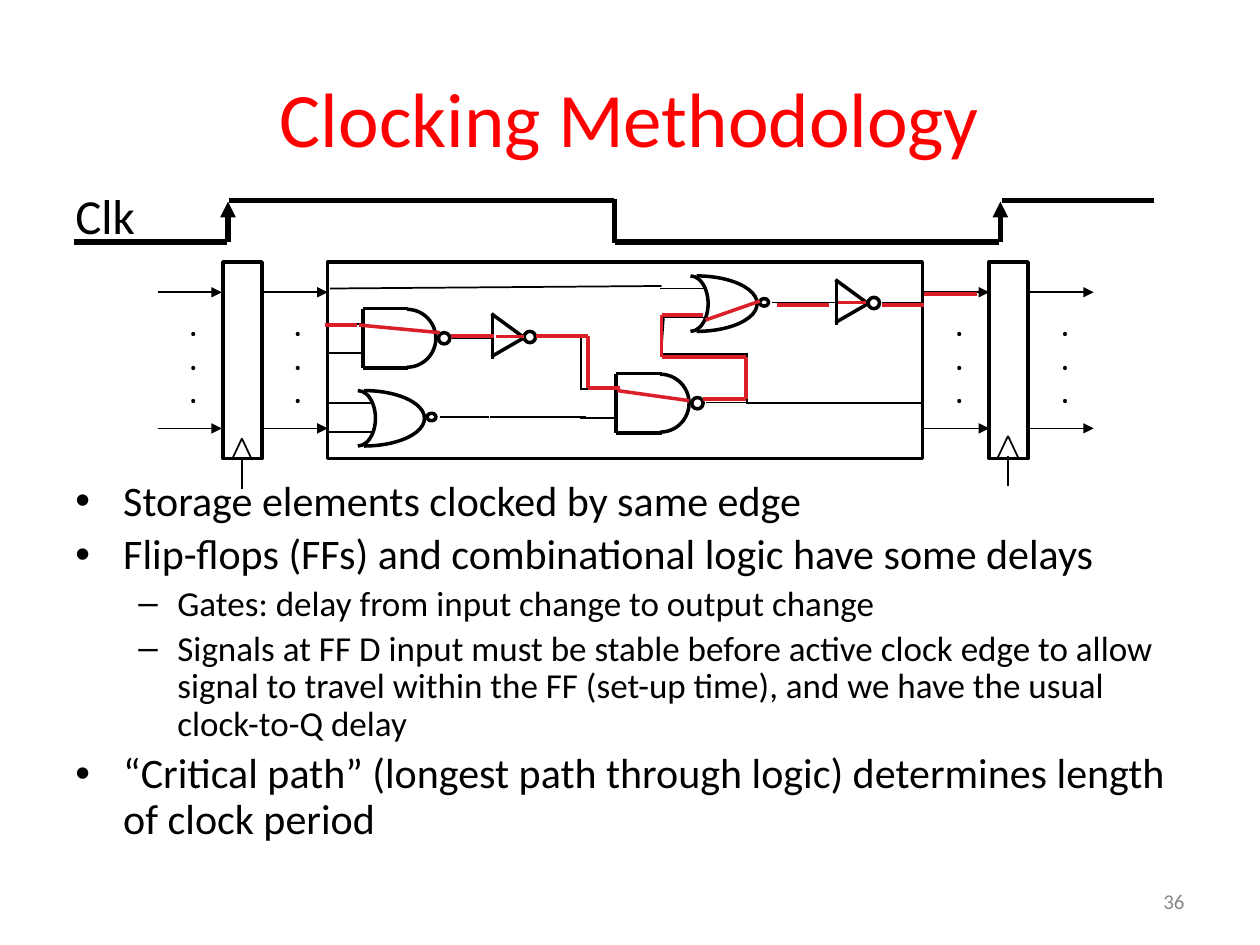
from lxml import etree
from pptx import Presentation
from pptx.dml.color import RGBColor
from pptx.enum.shapes import MSO_CONNECTOR, MSO_SHAPE
from pptx.enum.text import MSO_ANCHOR, PP_ALIGN
from pptx.oxml.ns import qn
from pptx.util import Inches, Pt

LINE = MSO_CONNECTOR.STRAIGHT
RECT, OVAL, ARC = MSO_SHAPE.RECTANGLE, MSO_SHAPE.OVAL, MSO_SHAPE.ARC
TOP, MID = MSO_ANCHOR.TOP, MSO_ANCHOR.MIDDLE
LEFT, MIDDLE, RIGHT = PP_ALIGN.LEFT, PP_ALIGN.CENTER, PP_ALIGN.RIGHT

WIDE, HIGH = 10, 7.5
COLS = 1000
COLOR = {"ink": "000000", "title": "FF0000", "path": "DA1F28", "page": "898989"}

LEVELS = [
    {"size": 24, "mark": "•", "left": 0.38, "hang": 0.38},
    {"size": 20, "mark": "–", "left": 0.81, "hang": 0.31},
]
POINTS = [
    (0, "Storage elements clocked by same edge"),
    (0, "Flip-flops (FFs) and combinational logic have some delays"),
    (1, "Gates: delay from input change to output change"),
    (1, "Signals at FF D input must be stable before active clock edge to allow "
        "signal to travel within the FF (set-up time), and we have the usual "
        "clock-to-Q delay"),
    (0, "“Critical path” (longest path through logic) determines length of clock period"),
]

CLOCK = [
    (59, 192, 180, 192), (181, 192, 181, 160), (182, 159, 487, 159),
    (488, 158, 488, 193), (488, 192, 793, 192), (794, 192, 794, 160),
    (795, 159, 916, 159),
]
RISES = (1, 5)
BOXES = [(177, 208, 31, 156), (785, 208, 31, 156), (260, 208, 472, 156)]
BUSES = [(125, 176), (208, 260), (733, 785), (817, 868)]
ROWS = (232, 340)
PINS = [(192, 364), (800, 362)]

GATES = {
    "nand": {
        "arcs": [(35, 23.5, 23, 23)],
        "dot": (64.5, 23.5, 4.5, 4.5),
        "bold": [(0, 0, 36, 0), (0, 0, 0, 47), (0, 47, 36, 47)],
        "thin": [(-29, 12, 1, 12), (-29, 35, 1, 35), (71, 23, 104, 23)],
    },
    "nor": {
        "arcs": [(5, 22, 48, 22), (0, 22, 14, 22)],
        "dot": (58.5, 21, 3.5, 3),
        "bold": [],
        "thin": [(-24, 10, 12, 10), (-24, 33, 12, 33), (65, 21, 104, 21)],
    },
    "not": {
        "arcs": [],
        "dot": (30.5, 18.5, 4.5, 4.5),
        "bold": [(0, 0, 26, 19), (0, 34, 26, 19), (1, 0, 1, 36)],
        "thin": [(-29, 18, 2, 18), (37, 18, 70, 18)],
    },
}
PLACED = [
    ("nand", 288, 245), ("nor", 284, 310), ("not", 663, 222),
    ("not", 390, 249), ("nor", 548, 219), ("nand", 489, 296.5),
]
WIRES = [
    (461, 268, 461, 308), (389, 331, 465, 331), (527, 251, 525, 278),
    (526, 281, 594, 281), (593, 282, 593, 319), (262, 229, 525, 227),
    (592, 320, 732, 320),
]
INNER = [
    (285, 258, 349, 264), (394, 267, 416, 267), (490, 310, 547, 318),
    (560, 254, 603, 239), (665, 240, 687, 240),
]
OUTER = [
    (258, 258, 283, 258), (358, 267, 392, 267), (425, 267, 467, 267),
    (467, 308, 492, 308), (558, 317, 592, 317), (525, 283, 592, 283),
    (525, 250, 558, 250), (617, 242, 658, 242), (700, 242, 733, 242),
    (733, 233, 775, 233), (525, 250, 525, 283), (592, 283, 592, 317),
    (467, 267, 467, 308),
]


def unit(n):
    return Inches(n * WIDE / COLS)


def tint(key):
    return RGBColor.from_string(COLOR[key])


def wire(pool, ends, width=1, key="ink", arrow=False):
    item = pool.add_connector(LINE, *map(unit, ends))
    item.line.width = Pt(width)
    item.line.color.rgb = tint(key)
    props = item._element.spPr
    if arrow:
        etree.SubElement(item.line._get_or_add_ln(), qn("a:tailEnd"), type="triangle")
    etree.SubElement(props, qn("a:effectLst"))


def form(pool, kind, box):
    item = pool.add_shape(kind, *map(unit, box))
    item.shadow.inherit = False
    item.fill.background()
    item.line.color.rgb = tint("ink")
    item.line.width = Pt(2)
    return item


def round_box(x, y, rx, ry):
    return x - rx, y - ry, 2 * rx, 2 * ry


def gate(pool, kind, x, y):
    part = GATES[kind]
    group = pool.add_group_shape().shapes
    for cx, cy, rx, ry in part["arcs"]:
        arc = form(group, ARC, round_box(x + cx, y + cy, rx, ry))
        arc.adjustments[0] = 162
        arc.adjustments[1] = 54
    cx, cy, rx, ry = part["dot"]
    form(group, OVAL, round_box(x + cx, y + cy, rx, ry))
    for width, key in ((2, "bold"), (1, "thin")):
        for a, b, c, d in part[key]:
            wire(group, (x + a, y + b, x + c, y + d), width)


def frame(pool, box, anchor=TOP, wrap=True):
    body = pool.add_textbox(*map(unit, box)).text_frame
    body.word_wrap = wrap
    body.vertical_anchor = anchor
    return body


def write(para, text, size, key="ink", face="Calibri", bold=False, align=LEFT):
    para.alignment = align
    run = para.add_run()
    run.text = text
    run.font.name = face
    run.font.size = Pt(size)
    run.font.bold = bold
    run.font.color.rgb = tint(key)


def lines(body, texts):
    for i, text in enumerate(texts):
        yield (body.add_paragraph() if i else body.paragraphs[0]), text


def bullet(para, level):
    para.line_spacing = 0.9
    para.space_before = Pt(level["size"] * 0.2)
    props = para._p.get_or_add_pPr()
    props.set("marL", str(Inches(level["left"])))
    props.set("indent", str(-Inches(level["hang"])))
    etree.SubElement(props, qn("a:buFont"), typeface="Arial")
    etree.SubElement(props, qn("a:buChar"), char=level["mark"])


def main():
    deck = Presentation()
    deck.slide_width, deck.slide_height = Inches(WIDE), Inches(HIGH)
    pool = deck.slides.add_slide(deck.slide_layouts[6]).shapes

    title = frame(pool, (50, 30, 900, 125), MID)
    write(title.paragraphs[0], "Clocking Methodology", 44, "title", align=MIDDLE)
    body = frame(pool, (50, 376, 900, 237))
    for para, (depth, text) in lines(body, POINTS):
        para.level = depth
        bullet(para, LEVELS[depth])
        write(para, text, LEVELS[depth]["size"])

    for i, ends in enumerate(CLOCK):
        wire(pool, ends, 3, arrow=i in RISES)
    label = frame(pool, (50, 142, 69, 57), wrap=False)
    write(label.paragraphs[0], "Clk", 28)

    for box in BOXES:
        form(pool, RECT, box)
    for start, end in BUSES:
        for row in ROWS:
            wire(pool, (start, row, end, row), arrow=True)
        dots = frame(pool, (start + 16, 240, 25, 90), wrap=False)
        for para, text in lines(dots, "..."):
            write(para, text, 16, face="Cambria", bold=True)

    for item in PLACED:
        gate(pool, *item)
    for ends in WIRES:
        wire(pool, ends)
    for width, group in ((2, INNER), (2.25, OUTER)):
        for ends in group:
            wire(pool, ends, width, "path")
    for x, y in PINS:
        wire(pool, (x, y, x, y + 24))
        wire(pool, (x - 8, y + 1, x, y - 16))
        wire(pool, (x, y - 16, x + 8, y + 1))

    page = frame(pool, (717, 695, 233, 40), MID)
    write(page.paragraphs[0], "36", 12, "page", align=RIGHT)
    deck.save("out.pptx")


if __name__ == "__main__":
    main()
